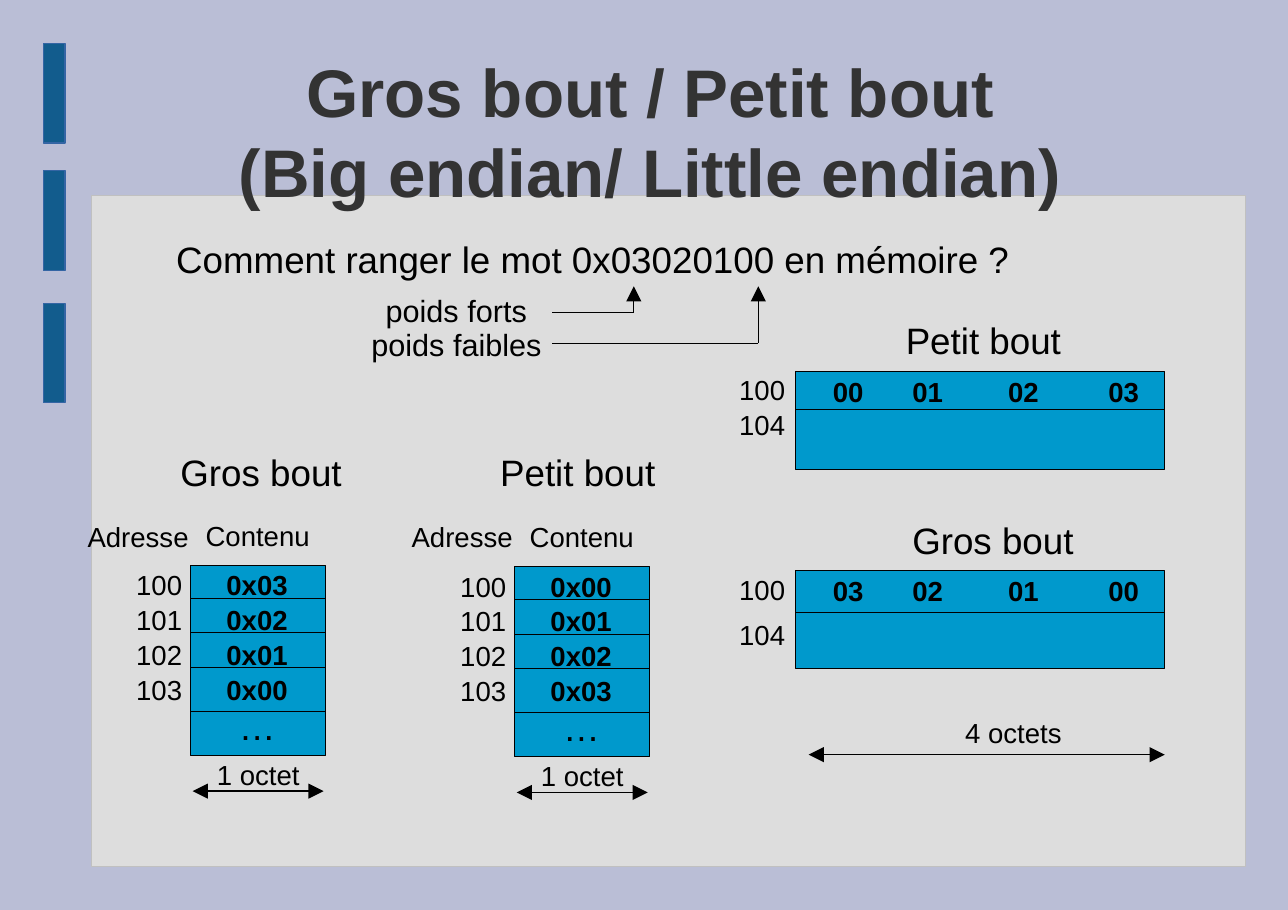
"""Build the slide that compares big endian and little endian storage."""
import pptx
import pptx.util
import pptx.dml.color
import pptx.enum.shapes
import pptx.enum.text
import lxml.etree

Cm, Pt = pptx.util.Cm, pptx.util.Pt
RGBColor = pptx.dml.color.RGBColor

TITLE = "Gros bout / Petit bout\v(Big endian/ Little endian)"
ASK = "Comment ranger le mot 0x03020100 en mémoire ?"
COLUMNS = [
    ("Gros bout", 3.91, 4.22, 4.39, 13.03, ["0x03", "0x02", "0x01", "0x00"]),
    ("Petit bout", 11.28, 4.09, 11.86, 13.06, ["0x00", "0x01", "0x02", "0x03"]),
]
WORDS = [
    ("Petit bout", 4.09, 2.29, 8.56, 0.71, 0.89, ["00", "01", "02", "03"]),
    ("Gros bout", 4.22, 2.44, 13.16, 0.97, 0.97, ["03", "02", "01", "00"]),
]
BAR_TOPS = [1.0, 3.94, 6.99]
CUTS = [0.76, 1.56, 2.36, 3.37]
BYTE_LEFTS = [0.61, 2.44, 4.65, 6.96]
STEP = 0.8
COL_W, COL_H = 3.12, 4.39
WORD_X, WORD_W, WORD_H = 18.34, 8.51, 2.26
TIP_Y = 6.6
HEIGHTS = {18: 0.97, 20: 1.04, 24: 1.19}

BACK = RGBColor(0xBA, 0xBE, 0xD6)
PANEL = RGBColor(0xDD, 0xDD, 0xDD)
RIM = RGBColor(0xC0, 0xC0, 0xC0)
BAR = RGBColor(0x12, 0x5C, 0x8D)
BAR_RIM = RGBColor(0x34, 0x65, 0xA4)
CELL = RGBColor(0x00, 0x99, 0xCC)
DARK = RGBColor(0x33, 0x33, 0x33)
BLACK = RGBColor(0, 0, 0)
NS = "http://schemas.openxmlformats.org/drawingml/2006/main"


def paint(para, size, color, bold):
    for run in para.runs:
        run.font.name = "Arial"
        run.font.size = Pt(size)
        run.font.bold = bold
        run.font.color.rgb = color


def box(shapes, x, y, w, h, fill, rim, width):
    rect = shapes.add_shape(pptx.enum.shapes.MSO_SHAPE.RECTANGLE,
                            Cm(x), Cm(y), Cm(w), Cm(h))
    rect.shadow.inherit = False
    rect.fill.solid()
    rect.fill.fore_color.rgb = fill
    rect.line.color.rgb = rim
    rect.line.width = Pt(width)


def label(shapes, text, x, y, w, size=18, bold=False):
    item = shapes.add_textbox(Cm(x), Cm(y), Cm(w), Cm(HEIGHTS[size]))
    frame = item.text_frame
    frame.word_wrap = True
    frame.auto_size = pptx.enum.text.MSO_AUTO_SIZE.NONE
    frame.margin_right = 0
    frame.text = text
    paint(frame.paragraphs[0], size, BLACK, bold)
    return item


def line(shapes, x1, y1, x2, y2, ends=(), width=0.75):
    link = shapes.add_connector(pptx.enum.shapes.MSO_CONNECTOR.STRAIGHT,
                                Cm(x1), Cm(y1), Cm(x2), Cm(y2))
    link.line.color.rgb = BLACK
    link.line.width = Pt(width)
    stroke = link.line._get_or_add_ln()
    for end in ends:
        lxml.etree.SubElement(stroke, f"{{{NS}}}{end}",
                              type="triangle", w="lg", len="lg")
    lxml.etree.SubElement(link.element.spPr, f"{{{NS}}}effectLst")
    return link


def span(shapes, x1, x2, y):
    line(shapes, x1, y, x2, y, ("headEnd", "tailEnd"), 1)


def column(shapes, name, left, wide, x, y, values):
    label(shapes, name, left, 10.24, wide, 24)
    label(shapes, "Adresse", x - 2.62, 11.86, 2.82)
    label(shapes, "Contenu", x + 0.1, y - 1.19, 2.9)
    box(shapes, x, y, COL_W, COL_H, CELL, BLACK, 0.75)
    for i, value in enumerate(values):
        top = y - 0.05 + i * STEP
        label(shapes, str(100 + i), x - 1.5, top, 1.55)
        label(shapes, value, x + 0.58, top, 1.9, bold=True)
    for cut in CUTS:
        line(shapes, x, y + cut, x + COL_W, y + cut)
    label(shapes, "…", x + 0.87, y + 3.07, 1.35, 24)
    label(shapes, "1 octet", x + 0.36, y + 4.32, 2.41)
    span(shapes, x + 0.05, x + 3.07, y + 5.21)


def word(shapes, name, wide, shift, y, low, cut, values):
    label(shapes, name, WORD_X + shift, y - 1.35, wide, 24)
    box(shapes, WORD_X, y, WORD_W, WORD_H, CELL, BLACK, 0.75)
    for text, drop in (("100", -0.08), ("104", low)):
        label(shapes, text, WORD_X - 1.55, y + drop, 1.55)
    for left, value in zip(BYTE_LEFTS, values):
        label(shapes, value, WORD_X + left, y - 0.05, 1.22, bold=True)
    line(shapes, WORD_X, y + cut, WORD_X + WORD_W, y + cut)


def weights(shapes):
    strong = label(shapes, "poids forts", 8.64, 6.6, 3.76, 20).text_frame
    strong.margin_left, strong.margin_right = 0, Cm(0.25)
    strong.paragraphs[0].alignment = pptx.enum.text.PP_ALIGN.RIGHT
    weak = label(shapes, "poids faibles", 8.31, 7.39, 4.42, 20)
    for x, y in ((14.61, 7.21), (17.48, 7.91)):
        link = line(shapes, 12.73, y, x, y)
        line(shapes, x, y, x, TIP_Y, ("tailEnd",))
    link.begin_connect(weak, 3)


def head(slide):
    title = slide.shapes.title
    title.left, title.top = Cm(2), Cm(1.27)
    title.width, title.height = Cm(26), Cm(3.48)
    frame = title.text_frame
    frame.margin_left = frame.margin_right = 0
    frame.margin_top = frame.margin_bottom = 0
    frame.auto_size = pptx.enum.text.MSO_AUTO_SIZE.NONE
    frame.vertical_anchor = pptx.enum.text.MSO_ANCHOR.MIDDLE
    para = frame.paragraphs[0]
    para.text = TITLE
    para.alignment = pptx.enum.text.PP_ALIGN.CENTER
    paint(para, 44, DARK, True)
    slide.shapes.element.append(title.element)


def main():
    deck = pptx.Presentation()
    deck.slide_width, deck.slide_height = Cm(29.69), Cm(20.98)
    slide = deck.slides.add_slide(deck.slide_layouts[5])
    slide.background.fill.solid()
    slide.background.fill.fore_color.rgb = BACK
    shapes = slide.shapes
    box(shapes, 2.11, 4.5, 26.6, 15.48, PANEL, RIM, 0)
    for top in BAR_TOPS:
        box(shapes, 1, top, 0.5, 2.3, BAR, BAR_RIM, 0)
    head(slide)
    label(shapes, ASK, 3.81, 5.33, 19.71, 24)
    weights(shapes)
    for item in COLUMNS:
        column(shapes, *item)
    for item in WORDS:
        word(shapes, *item)
    label(shapes, "4 octets", 22, 16.38, 2.72)
    span(shapes, 18.64, 26.85, 17.4)
    deck.save("out.pptx")


if __name__ == "__main__":
    main()
